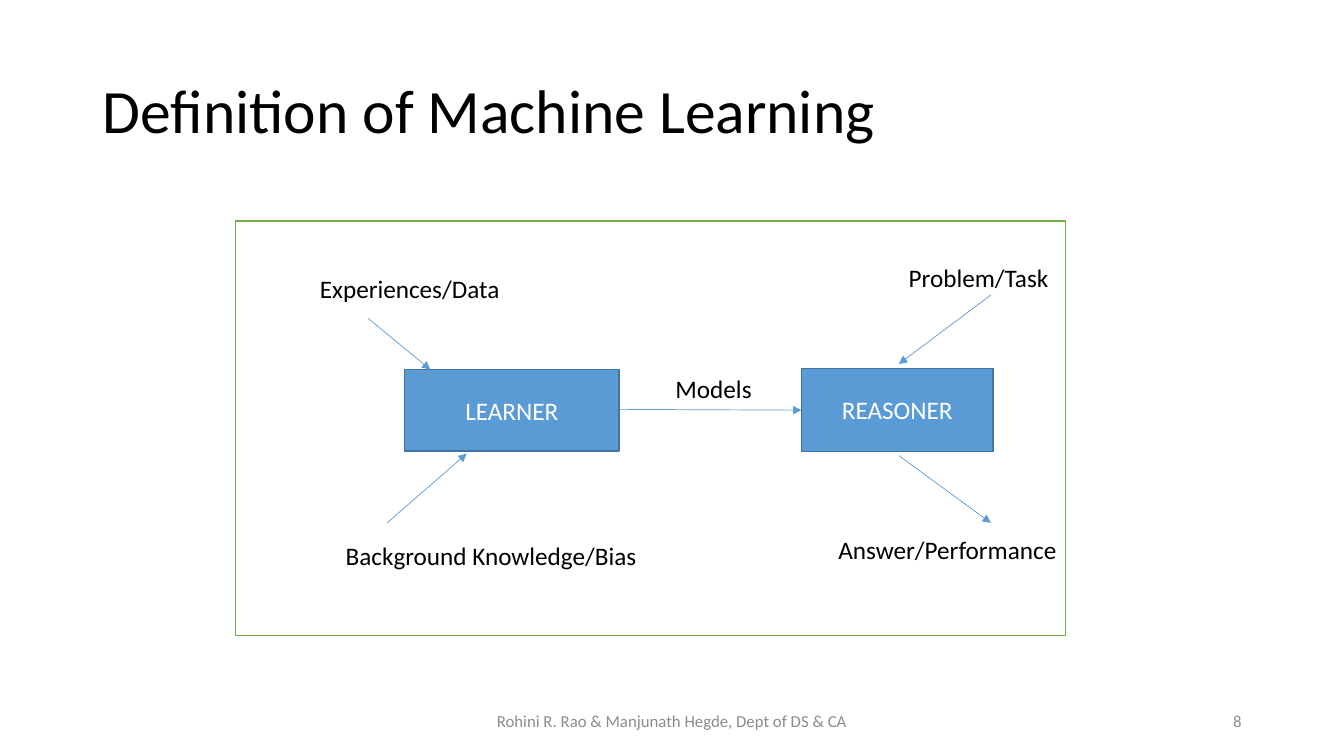
from lxml import etree
from pptx import Presentation
from pptx.dml.color import RGBColor
from pptx.enum import shapes as kinds, text as txt
from pptx.oxml.ns import qn
from pptx.util import Pt

# Content; boxes are (left, top, width, height) in points
FONT = "Calibri"
BLACK, WHITE, GREY = "000000", "FFFFFF", "8C8C8C"
BLUE, NAVY, GREEN = "5B9BD5", "43739E", "70AD47"
LEFT, MID, RIGHT = txt.PP_ALIGN.LEFT, txt.PP_ALIGN.CENTER, txt.PP_ALIGN.RIGHT

TITLE = ("Definition of Machine Learning", (66, 28.8, 828, 104.4))
FRAME = (168, 157.8, 593.2, 296)
FOOTER = [
    ("Rohini R. Rao & Manjunath Hegde, Dept of DS & CA", (318, 500.5, 324, 28.75), MID),
    ("8", (678, 500.5, 216, 28.75), RIGHT),
]
NODES = [
    ("LEARNER", (289, 264, 153.3, 58.3)),
    ("REASONER", (572.4, 263, 137, 59.5)),
]
LABELS = [
    ("Experiences/Data", (221.4, 191.7, 144, 29)),
    ("Background Knowledge/Bias", (239.8, 382.6, 224.6, 29)),
    ("Models", (475.4, 263.2, 69.8, 29)),
    ("Problem/Task", (642, 183.5, 115.2, 29)),
    ("Answer/Performance", (591.8, 378.3, 172, 29)),
]
ARROWS = [  # from x, y to x, y
    (263, 227.5, 307.4, 264),
    (276.5, 373.5, 333.4, 324),
    (442.3, 292.4, 572.4, 293),
    (707.8, 210.7, 642, 260),
    (642, 325.4, 707.8, 373.5),
]


def color(code):
    return RGBColor.from_string(code)


def pts(nums):
    return [Pt(n) for n in nums]


def write(shape, words, size, ink, align=LEFT, wrap=True, anchor=txt.MSO_ANCHOR.MIDDLE):
    frame = shape.text_frame
    frame.word_wrap = wrap
    frame.auto_size = txt.MSO_AUTO_SIZE.NONE
    frame.vertical_anchor = anchor
    para = frame.paragraphs[0]
    para.alignment = align
    run = para.add_run()
    run.text = words
    run.font.name, run.font.size = FONT, Pt(size)
    run.font.color.rgb = color(ink)
    return para


def add_box(slide, box, fill, edge):
    shape = slide.shapes.add_shape(kinds.MSO_SHAPE.RECTANGLE, *pts(box))
    shape.shadow.inherit = False
    shape.fill.solid()
    shape.fill.fore_color.rgb = color(fill)
    shape.line.color.rgb = color(edge)
    shape.line.width = Pt(1)
    return shape


def add_arrow(slide, ends):
    link = slide.shapes.add_connector(kinds.MSO_CONNECTOR.STRAIGHT, *pts(ends))
    link.line.color.rgb = color(BLUE)
    link.line.width = Pt(0.5)
    etree.SubElement(link.line._get_or_add_ln(), qn("a:tailEnd"), type="triangle")
    etree.SubElement(link._element.spPr, qn("a:effectLst"))


def main():
    deck = Presentation()
    deck.slide_width, deck.slide_height = Pt(960), Pt(540)
    slide = deck.slides.add_slide(deck.slide_layouts[5])

    # Title
    words, box = TITLE
    title = slide.shapes.title
    title.left, title.top, title.width, title.height = pts(box)
    write(title, words, 44, BLACK).line_spacing = 0.9

    # Footer and page number
    for words, box, align in FOOTER:
        write(slide.shapes.add_textbox(*pts(box)), words, 12, GREY, align)

    # Diagram: frame, nodes, arrows, labels
    add_box(slide, FRAME, WHITE, GREEN)
    for words, box in NODES:
        write(add_box(slide, box, BLUE, NAVY), words, 18, WHITE, MID)
    for ends in ARROWS:
        add_arrow(slide, ends)
    for words, box in LABELS:
        label = slide.shapes.add_textbox(*pts(box))
        write(label, words, 18, BLACK, wrap=False, anchor=txt.MSO_ANCHOR.TOP)

    deck.save("out.pptx")


if __name__ == "__main__":
    main()
